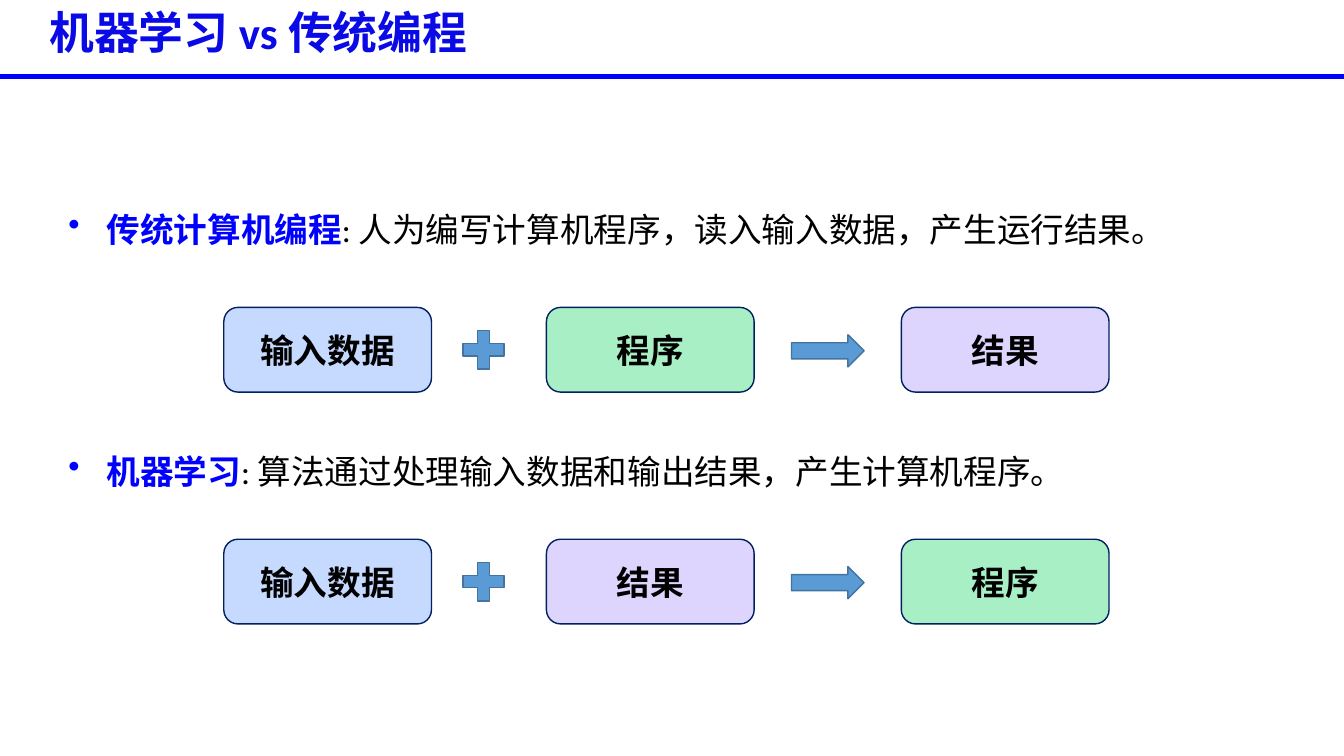
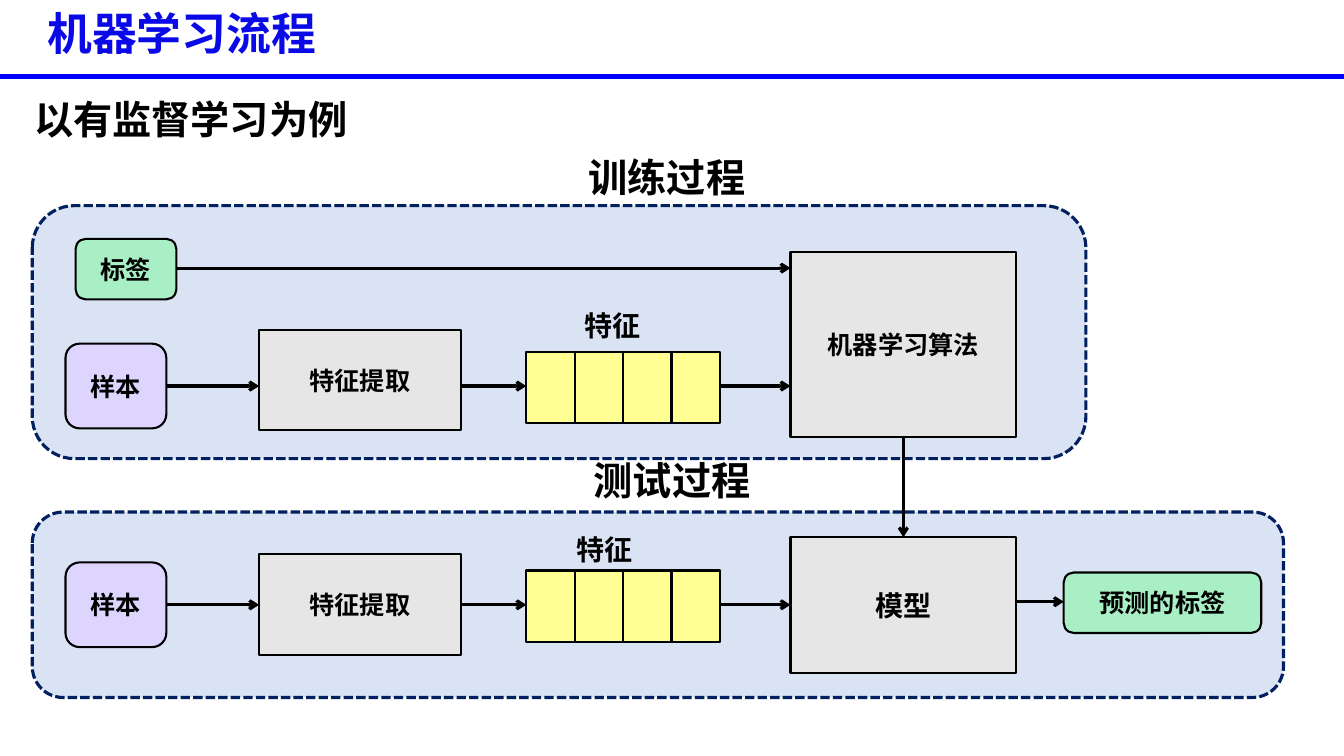
from lxml.etree import SubElement as Sub
from pptx import Presentation as Deck
from pptx.dml.color import RGBColor as Rgb
from pptx.enum.dml import MSO_LINE_DASH_STYLE as Dash
from pptx.enum.shapes import MSO_CONNECTOR as Link, MSO_SHAPE as Kind
from pptx.enum.text import MSO_ANCHOR as Anchor, PP_ALIGN as Align
from pptx.oxml.ns import qn
from pptx.util import Pt

PX = 9144
WIDE, HIGH = 1333, 750
CJK = "Noto Sans CJK SC"
HUES = {
    "title": "0A0AE6", "blue": "0000FF", "black": "000000", "navy": "002060",
    "sky": "C6D9FF", "green": "A8EFC6", "lilac": "DED5FF", "steel": "5B9BD5",
    "edge": "43739E", "panel": "DAE3F3", "grey": "E6E6E6", "yellow": "FFFF94",
}
TITLE = {"size": Pt(32), "name": "Calibri", "bold": True}
HEAD = {"size": Pt(28), "name": "Calibri", "bold": True}
SUB = {**HEAD, "name": CJK}
MARK = {"size": Pt(20), "name": "Calibri", "bold": True}
NODE = {**MARK, "size": Pt(18)}
LEAD = {"size": Pt(24), "name": "Calibri", "bold": True}
BODY = {**LEAD, "bold": False}
CARD = {**LEAD, "name": CJK}
DATA, CODE, DONE = ("输入数据", "sky"), ("程序", "green"), ("结果", "lilac")


def hue(name):
    """Return the colour of that name."""
    return Rgb.from_string(HUES[name])


def px(*nums):
    """Turn px into EMU."""
    return [n * PX for n in nums]


def write(para, text, style, tint="black"):
    """Add one styled run to a paragraph."""
    run = para.add_run()
    run.text = text
    for key, val in style.items():
        setattr(run.font, key, val)
    run.font.color.rgb = hue(tint)
    props = run._r.get_or_add_rPr()
    props.set("lang", "zh-CN")
    Sub(props, qn("a:ea")).set("typeface", CJK)


def label(slide, box, text, style, tint="black", wrap=False):
    """Add a text box and return its paragraph."""
    frame = slide.shapes.add_textbox(*px(*box)).text_frame
    frame.word_wrap = wrap
    para = frame.paragraphs[0]
    if text:
        write(para, text, style, tint)
    return para


def block(slide, kind, box, fill, edge="black", width=1.5, text="", style=NODE):
    """Add a filled shape with centred text."""
    shape = slide.shapes.add_shape(kind, *px(*box))
    shape.shadow.inherit = False
    shape.fill.solid()
    shape.fill.fore_color.rgb = hue(fill)
    shape.line.color.rgb = hue(edge)
    shape.line.width = Pt(width)
    if text:
        frame = shape.text_frame
        frame.vertical_anchor = Anchor.MIDDLE
        para = frame.paragraphs[0]
        para.alignment = Align.CENTER
        write(para, text, style)
    return shape


def line(slide, ends, tint="black", width=2.25, tip=True):
    """Add a straight line, with an arrowhead if asked."""
    link = slide.shapes.add_connector(Link.STRAIGHT, *px(*ends))
    link.line.color.rgb = hue(tint)
    link.line.width = Pt(width)
    if tip:
        Sub(link.line._get_or_add_ln(), qn("a:tailEnd")).set("type", "arrow")
    Sub(link._element.spPr, qn("a:effectLst"))


def start(deck, title, left, top):
    """Add a blank slide with its title and rule."""
    slide = deck.slides.add_slide(deck.slide_layouts[6])
    label(slide, (left, top, 876, 64), title, TITLE, "title", True)
    line(slide, (0, 76, WIDE, 76), "blue", 4, False)
    return slide


def point(slide, left, top, term, text):
    """Add a bullet with a blue term."""
    para = label(slide, (left, top, 1179, 50), "", BODY, wrap=True)
    props = para._p.get_or_add_pPr()
    props.set("marL", str(38 * PX))
    props.set("indent", str(-38 * PX))
    Sub(props, qn("a:buChar")).set("char", "•")
    write(para, term, LEAD, "blue")
    write(para, text, BODY)


def sums(slide, left, top, cards):
    """Add a row: card plus card gives card."""
    for shift, (text, fill) in zip((0, 320, 672), cards):
        block(slide, Kind.ROUNDED_RECTANGLE, (left + shift, top, 206, 84),
              fill, "navy", 1, text, CARD)
    for kind, shift, drop, wide, high in (
            (Kind.MATH_PLUS, 230, 16, 55, 52), (Kind.RIGHT_ARROW, 563, 27, 72, 32)):
        block(slide, kind, (left + shift, top + drop, wide, high), "steel", "edge", 1)


def panel(slide, box, text, left, top):
    """Add a dashed panel with its heading."""
    shape = block(slide, Kind.ROUNDED_RECTANGLE, box, "panel", "navy", 2.25)
    shape.line.dash_style = Dash.SQUARE_DOT
    label(slide, (left, top, 178, 57), text, HEAD)


def lane(slide, left, mid, lift, mark):
    """Add the sample, extraction and feature cells around a mid line."""
    block(slide, Kind.ROUNDED_RECTANGLE, (left + 33, mid - 42, 100, 84),
          "lilac", text="样本")
    block(slide, Kind.RECTANGLE, (left + 225, mid - 50 - lift, 200, 100),
          "grey", text="特征提取")
    for col in range(4):
        block(slide, Kind.RECTANGLE, (left + 490 + 48 * col, mid - 34, 48, 71), "yellow")
    for near, far in ((133, 225), (425, 490), (682, 752)):
        line(slide, (left + near, mid, left + far, mid))
    label(slide, (left + mark[0], mid + mark[1], 77, 44), "特征", MARK)


def train(slide, box):
    """Fill the training panel."""
    left, top = box[:2]
    panel(slide, box, "训练过程", left + 542, top - 57)
    block(slide, Kind.ROUNDED_RECTANGLE, (left + 43, top + 33, 100, 60),
          "green", text="标签")
    block(slide, Kind.RECTANGLE, (left + 752, top + 46, 224, 184),
          "grey", text="机器学习算法")
    line(slide, (left + 143, top + 62, left + 752, top + 62))
    lane(slide, left, top + 179, 6, (538, -82))


def test(slide, box):
    """Fill the testing panel."""
    left, top = box[:2]
    panel(slide, box, "测试过程", left + 547, top - 60)
    block(slide, Kind.RECTANGLE, (left + 752, top + 25, 224, 135),
          "grey", text="模型", style=MARK)
    block(slide, Kind.ROUNDED_RECTANGLE, (left + 1023, top + 60, 196, 60),
          "green", text="预测的标签")
    line(slide, (left + 976, top + 89, left + 1023, top + 89))
    lane(slide, left, top + 92, 0, (530, -77))


def match(deck):
    """Build the slide that compares two ways of work."""
    slide = start(deck, "机器学习 vs 传统编程", 39, 0)
    point(slide, 58, 202, "传统计算机编程", ": 人为编写计算机程序，读入输入数据，产生运行结果。")
    sums(slide, 222, 305, (DATA, CODE, DONE))
    point(slide, 58, 442, "机器学习", ": 算法通过处理输入数据和输出结果，产生计算机程序。")
    sums(slide, 222, 535, (DATA, DONE, CODE))


def flow(deck):
    """Build the slide of the training and testing flow."""
    slide = start(deck, "机器学习流程", 37, 1)
    label(slide, (24, 90, 336, 57), "以有监督学习为例", SUB)
    test(slide, (32, 508, 1241, 184))
    train(slide, (32, 204, 1045, 251))
    line(slide, (896, 434, 896, 533))


def main():
    """Build and save the deck."""
    deck = Deck()
    deck.slide_width, deck.slide_height = px(WIDE, HIGH)
    match(deck)
    flow(deck)
    deck.save("out.pptx")


if __name__ == "__main__":
    main()
